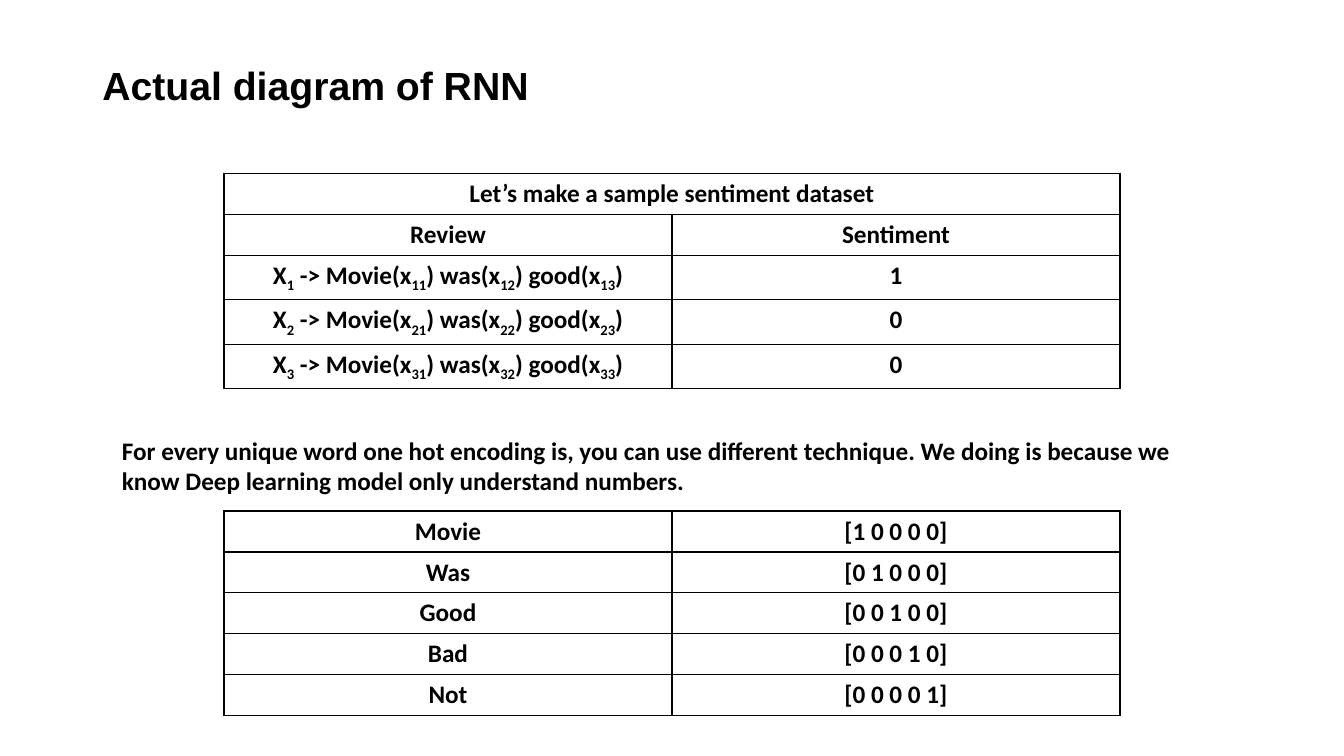
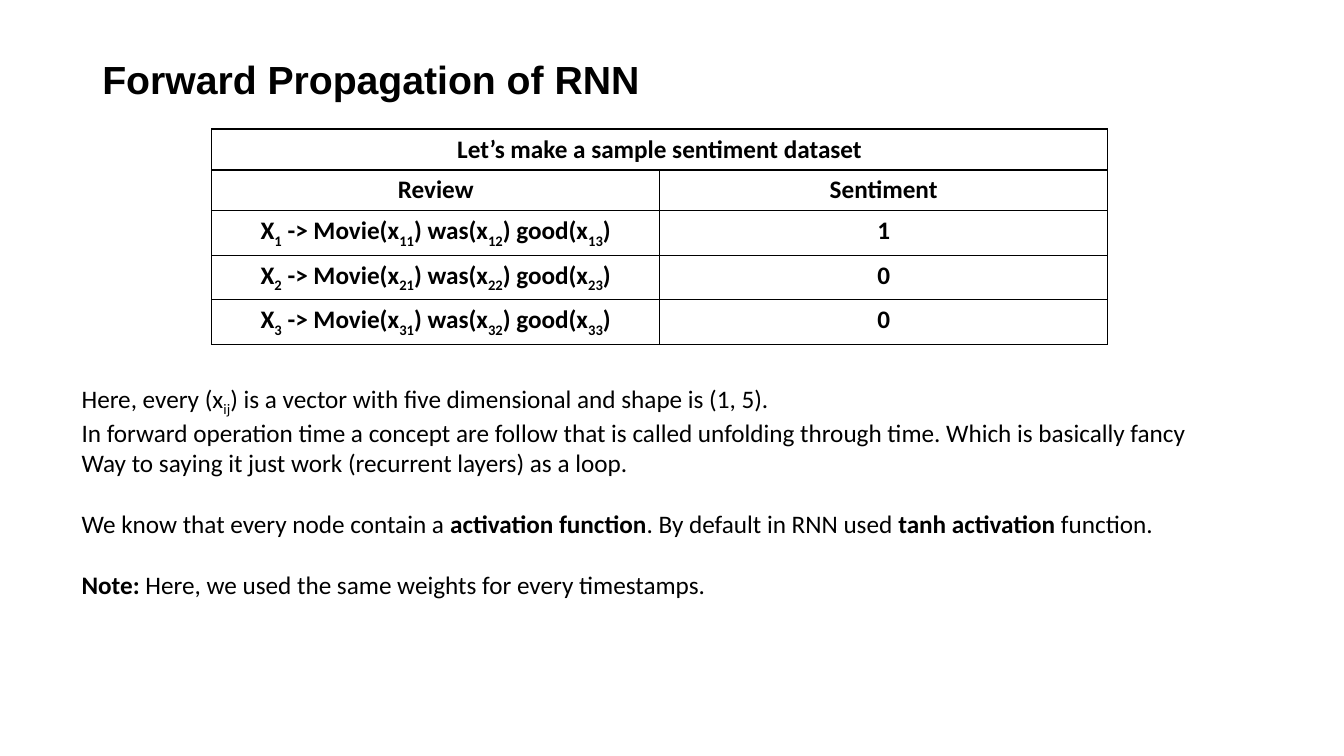
from collections import namedtuple

from lxml import etree
from pptx import Presentation
from pptx.dml.color import RGBColor
from pptx.enum.text import MSO_ANCHOR, MSO_AUTO_SIZE, PP_ALIGN
from pptx.oxml.ns import qn
from pptx.util import Inches, Pt

BLACK = RGBColor(0x00, 0x00, 0x00)
HEADING_FONT, BODY_FONT = "Arial", "Calibri"
LEFT, CENTER = PP_ALIGN.LEFT, PP_ALIGN.CENTER
TOP, MIDDLE = MSO_ANCHOR.TOP, MSO_ANCHOR.MIDDLE
GROW = MSO_AUTO_SIZE.SHAPE_TO_FIT_TEXT

# Grid of 120 columns and 75 rows
SLIDE_W, SLIDE_H = Inches(13.333), Inches(7.5)
COL, ROW = SLIDE_W / 120, SLIDE_H / 75
BODY_SIZE = 18
LINE_GAP = 22  # one line of body text, in points
BORDER = Pt(1)

Box = namedtuple("Box", "left top width height")

DATASET = [
    ["Let’s make a sample sentiment dataset", None],
    ["Review", "Sentiment"],
] + [
    [f"X~{i}~ -> Movie(x~{i}1~) was(x~{i}2~) good(x~{i}3~)", label]
    for i, label in enumerate(["1", "0", "0"], start=1)
]

VOCABULARY = ["Movie", "Was", "Good", "Bad", "Not"]
ONE_HOT = [
    [word, "[" + " ".join(str(int(i == j)) for j in range(len(VOCABULARY))) + "]"]
    for i, word in enumerate(VOCABULARY)
]

ENCODING_NOTE = (
    "For every unique word one hot encoding is, you can use different technique. "
    "We doing is because we know Deep learning model only understand numbers."
)

# Each paragraph with the space before it
EXPLANATION = [
    ("Here, every (x~ij~) is a vector with five dimensional and shape is (1, 5).", 0),
    ("In forward operation time a concept are follow that is called unfolding "
     "through time. Which is basically fancy", 0),
    ("Way to saying it just work (recurrent layers) as a loop.", 0),
    ("We know that every node contain a *activation function*. "
     "By default in RNN used *tanh activation* function.", LINE_GAP),
    ("*Note: *Here, we used the same weights for every timestamps.", LINE_GAP),
]


def place(box):
    """Turn a box in grid units into slide lengths."""
    return (round(box.left * COL), round(box.top * ROW),
            round(box.width * COL), round(box.height * ROW))


def write(paragraph, text, size=BODY_SIZE, font=BODY_FONT, color=BLACK,
          bold=False, align=LEFT, spacing=None, before=0):
    """Fill a paragraph; *...* is bold and ~...~ is subscript."""
    paragraph.alignment = align
    paragraph.space_before = Pt(before)
    if spacing:
        paragraph.line_spacing = spacing
    for i, part in enumerate(text.split("*")):
        for j, piece in enumerate(part.split("~")):
            if not piece:
                continue
            run = paragraph.add_run()
            run.text = piece
            run.font.size, run.font.name = Pt(size), font
            run.font.bold = bold or i % 2 == 1
            run.font.color.rgb = color
            if j % 2:
                run._r.get_or_add_rPr().set("baseline", "-25000")


def add_text(slide, box, paragraphs, anchor=TOP, wrap=True, grow=True, **style):
    """Add a text box from (text, space before) pairs."""
    frame = slide.shapes.add_textbox(*place(box)).text_frame
    frame.word_wrap = wrap
    frame.vertical_anchor = anchor
    if grow:
        frame.auto_size = GROW
    for i, (text, before) in enumerate(paragraphs):
        paragraph = frame.add_paragraph() if i else frame.paragraphs[0]
        write(paragraph, text, before=before, **style)


def add_title(slide, text, top):
    add_text(slide, Box(8.25, top, 103.5, 9.4), [(text, 0)], anchor=MIDDLE, grow=False,
             size=28, font=HEADING_FONT, bold=True, spacing=0.9)


def outline(cell):
    """Draw all four borders of a cell."""
    props = cell._tc.get_or_add_tcPr()
    for side in ("a:lnL", "a:lnR", "a:lnT", "a:lnB"):
        line = etree.SubElement(props, qn(side), w=str(BORDER))
        fill = etree.SubElement(line, qn("a:solidFill"))
        etree.SubElement(fill, qn("a:srgbClr"), val=str(BLACK))


def add_grid_table(slide, box, rows):
    """Add a plain bordered table; a row ending in None spans its width."""
    left, top, width, height = place(box)
    table = slide.shapes.add_table(len(rows), len(rows[0]), left, top, width, height).table
    table.first_row = table.horz_banding = False
    for r, row in enumerate(rows):
        for c, text in enumerate(row):
            cell = table.cell(r, c)
            outline(cell)
            cell.fill.background()
            if text is not None:
                write(cell.text_frame.paragraphs[0], text, bold=True, align=CENTER)
        if row[-1] is None:
            table.cell(r, 0).merge(table.cell(r, len(row) - 1))


def build_diagram_slide(slide):
    add_title(slide, "Actual diagram of RNN", top=4)
    add_grid_table(slide, Box(20, 17.2, 80, 20.3), DATASET)
    add_text(slide, Box(10, 42.7, 96.75, 7.1), [(ENCODING_NOTE, 0)], bold=True)
    add_grid_table(slide, Box(20, 50.7, 80, 20.3), ONE_HOT)


def build_propagation_slide(slide):
    add_title(slide, "Forward Propagation of RNN", top=3.4)
    add_grid_table(slide, Box(18.9, 12.8, 80, 20.3), DATASET)
    add_text(slide, Box(6.4, 37.5, 101.7, 22.2), EXPLANATION, wrap=False)


def main():
    deck = Presentation()
    deck.slide_width, deck.slide_height = SLIDE_W, SLIDE_H
    blank = deck.slide_layouts[6]
    for build in (build_diagram_slide, build_propagation_slide):
        build(deck.slides.add_slide(blank))
    deck.save("out.pptx")


if __name__ == "__main__":
    main()
